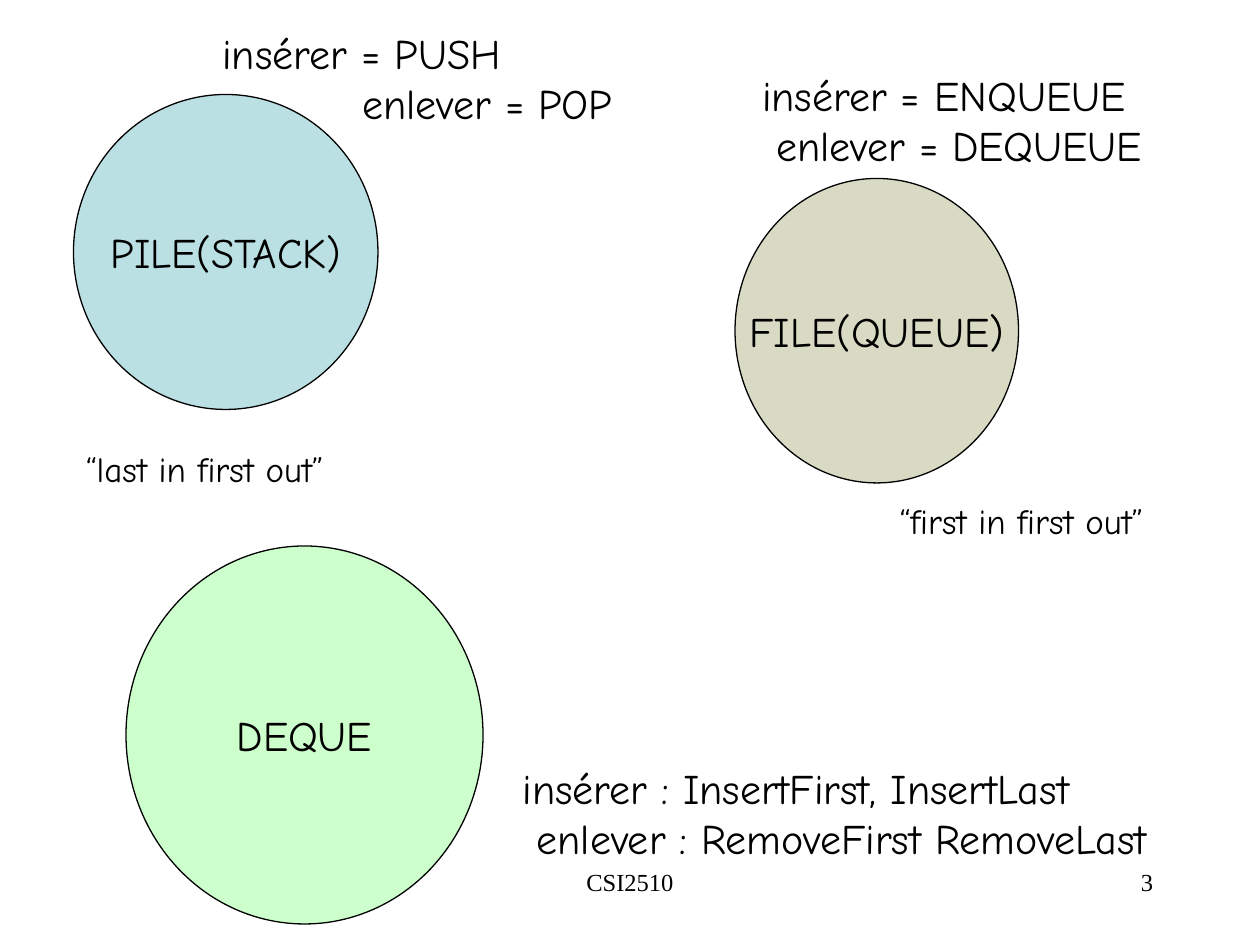
from pptx import Presentation
from pptx.dml.color import RGBColor
from pptx.enum.shapes import MSO_SHAPE
from pptx.enum.text import MSO_ANCHOR, MSO_AUTO_SIZE, PP_ALIGN
from pptx.util import Inches, Pt

COLS, ROWS = 120, 90
CELL = Inches(10) // COLS
INK = {"text": "000000", "stack": "BBE0E3", "queue": "D9DAC4", "deque": "CCFFCC"}
HAND, SERIF = "Comic Neue", "Times New Roman"


def place(box, part):
    """Turn a part's cells, counted from the box corner, into lengths."""
    left, top, wide, high = part
    return [round(n * CELL) for n in (box[0] + left, box[1] + top, wide, high)]


def write(frame, lines, size, face=HAND, align=PP_ALIGN.LEFT, indent=0):
    """Fill a frame; lines after the first are indented by some cells."""
    frame.text = "\n".join(lines)
    for row, para in enumerate(frame.paragraphs):
        para.alignment = align
        if row and indent:
            para._p.get_or_add_pPr().set("marL", str(round(indent * CELL)))
        for run in para.runs:
            run.font.size = Pt(size)
            run.font.name = face
            run.font.color.rgb = RGBColor.from_string(INK["text"])


def disc(slide, spot, name, tint):
    shape = slide.shapes.add_shape(MSO_SHAPE.OVAL, *spot)
    shape.shadow.inherit = False
    shape.fill.solid()
    shape.fill.fore_color.rgb = RGBColor.from_string(INK[tint])
    shape.line.color.rgb = RGBColor.from_string(INK["text"])
    shape.line.width = Pt(0.75)
    frame = shape.text_frame
    frame.word_wrap = False
    frame.vertical_anchor = MSO_ANCHOR.MIDDLE
    write(frame, [name], 24, align=PP_ALIGN.CENTER)


def label(slide, spot, lines, size, indent=0):
    frame = slide.shapes.add_textbox(*spot).text_frame
    frame.word_wrap = False
    frame.auto_size = MSO_AUTO_SIZE.SHAPE_TO_FIT_TEXT
    write(frame, lines, size, indent=indent)


def panel(slide, box, tint, name, round_at, ops, ops_at, indent, motto=None, motto_at=None):
    """One data structure: its disc, its two operations and its motto."""
    disc(slide, place(box, round_at), name, tint)
    label(slide, place(box, ops_at), ops, 24, indent)
    if motto:
        label(slide, place(box, motto_at), [motto], 20)


def footer(slide, box):
    parts = [
        ((0, 0, 38, box[3]), "CSI2510", PP_ALIGN.CENTER),
        ((box[2] - 25, 0, 25, box[3]), "3", PP_ALIGN.RIGHT),
    ]
    for part, words, align in parts:
        frame = slide.shapes.add_textbox(*place(box, part)).text_frame
        frame.word_wrap = True
        write(frame, [words], 14, SERIF, align)


def main():
    deck = Presentation()
    deck.slide_width, deck.slide_height = COLS * CELL, ROWS * CELL
    slide = deck.slides.add_slide(deck.slide_layouts[6])
    footer(slide, (41, 82, 70, 6))
    panel(slide, (7, 2), "stack", "PILE(STACK)", (0, 7, 29, 30),
          ["insérer = PUSH", "enlever = POP"], (13, 0, 39.7, 10.8), 13.3,
          "“last in first out”", (0, 40, 25.1, 5.3))
    panel(slide, (70, 6), "queue", "FILE(QUEUE)", (0, 11, 27, 29),
          ["insérer = ENQUEUE", "enlever = DEQUEUE"], (1.4, 0, 38.6, 10.8), 1.33,
          "“first in first out”", (14.5, 41, 25.6, 5.3))
    panel(slide, (12, 52), "deque", "DEQUE", (0, 0, 34, 36),
          ["insérer : InsertFirst, InsertLast", "enlever : RemoveFirst RemoveLast"],
          (36.6, 20, 62.3, 10.8), 1.33)
    deck.save("out.pptx")


if __name__ == "__main__":
    main()
